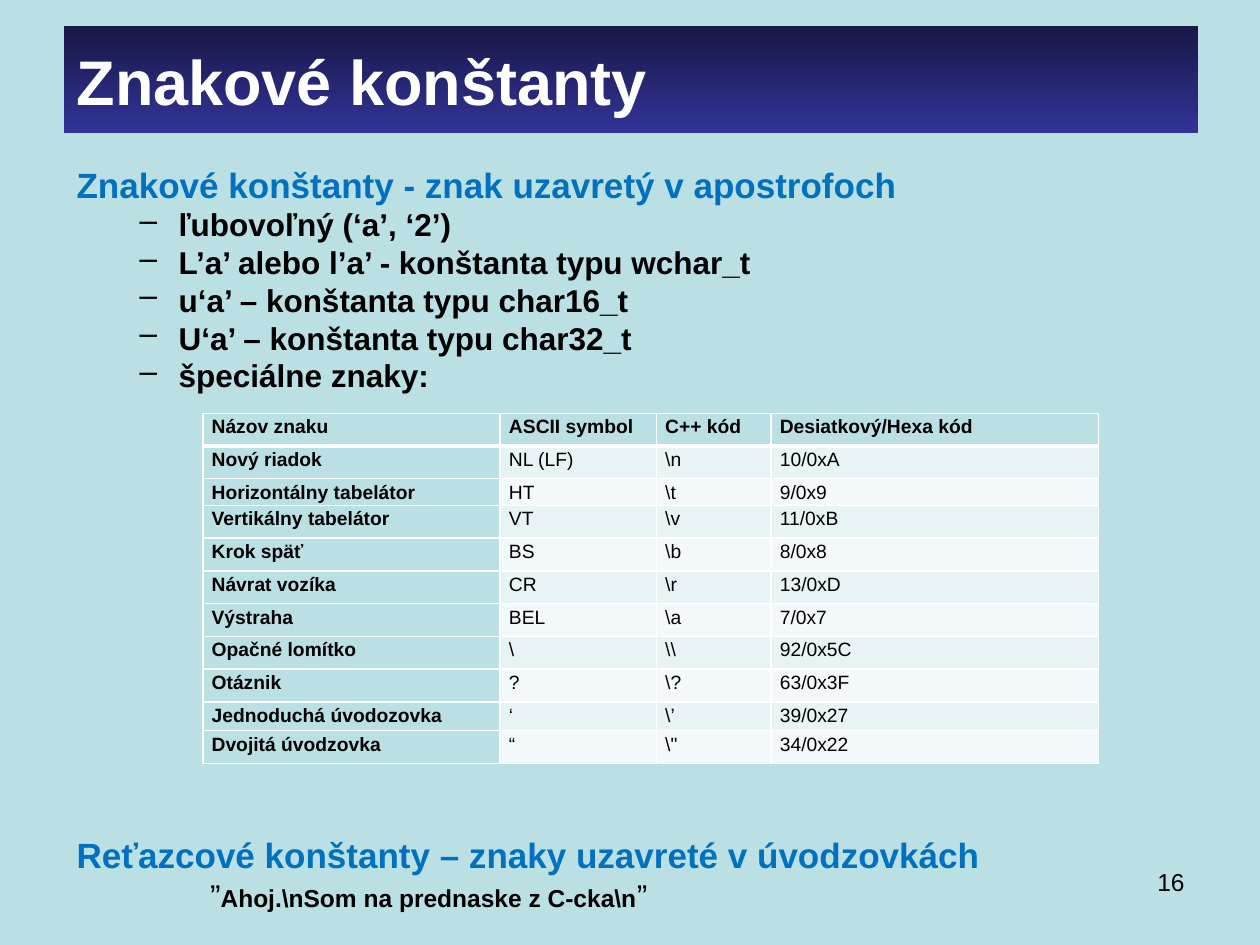
from lxml import etree
from pptx import Presentation
from pptx.dml.color import RGBColor
from pptx.enum.shapes import MSO_SHAPE
from pptx.enum.text import MSO_ANCHOR, PP_ALIGN
from pptx.oxml.ns import qn
from pptx.util import Inches, Pt

RECT = MSO_SHAPE.RECTANGLE
MIDDLE = MSO_ANCHOR.MIDDLE
LEFT, RIGHT, JUSTIFY = PP_ALIGN.LEFT, PP_ALIGN.RIGHT, PP_ALIGN.JUSTIFY

FONT = "Arial"
AQUA = RGBColor(0xBB, 0xE0, 0xE3)
NIGHT = RGBColor(0x18, 0x18, 0x47)
NAVY = RGBColor(0x33, 0x33, 0x99)
BLUE = RGBColor(0x00, 0x70, 0xC0)
BLACK = RGBColor(0x00, 0x00, 0x00)
WHITE = RGBColor(0xFF, 0xFF, 0xFF)
BANDS = [RGBColor(0xF3, 0xF9, 0xFA), RGBColor(0xE7, 0xF3, 0xF4)]


def style(para, size, color=BLACK, bold=True, align=LEFT):
    """Set the font and alignment of a paragraph."""
    para.alignment = align
    font = para.font
    font.name, font.size, font.bold = FONT, Pt(size), bold
    font.color.rgb = color


def border(cell, widths):
    """Draw white cell borders, widths in points by side."""
    props = cell._tc.get_or_add_tcPr()
    for i, (side, width) in enumerate(widths.items()):
        line = etree.Element(qn("a:ln" + side), w=str(Pt(width)))
        fill = etree.SubElement(line, qn("a:solidFill"))
        etree.SubElement(fill, qn("a:srgbClr"), val=str(WHITE))
        props.insert(i, line)


prs = Presentation()
prs.slide_width, prs.slide_height = Inches(10), Inches(7.5)
slide = prs.slides.add_slide(prs.slide_layouts[6])
slide.background.fill.solid()
slide.background.fill.fore_color.rgb = AQUA
shapes = slide.shapes

# Title bar
title = shapes.add_shape(RECT, Inches(0.51), Inches(0.21), Inches(9), Inches(0.85))
title.shadow.inherit = False
title.line.fill.background()
title.fill.gradient()
title.fill.gradient_angle = 270
for stop, color, place in zip(title.fill.gradient_stops, (NIGHT, NAVY), (0, 1)):
    stop.color.rgb = color
    stop.position = place
title.text_frame.vertical_anchor = MIDDLE
title.text_frame.text = "Znakové konštanty"
style(title.text_frame.paragraphs[0], 36, WHITE)

# Body: text, size, colour, space before, left indent, bullet
points = ["ľubovoľný (‘a’, ‘2’)", "L’a’ alebo l’a’ - konštanta typu wchar_t",
          "u‘a’ – konštanta typu char16_t", "U‘a’ – konštanta typu char32_t",
          "špeciálne znaky:"]
lines = [("Znakové konštanty - znak uzavretý v apostrofoch", 20, BLUE, 0, 0, False)]
lines += [(point, 18, BLACK, 4.3, 0.81, True) for point in points]
lines += [("Reťazcové konštanty – znaky uzavreté v úvodzovkách", 20, BLUE, 256, 0, False),
          ("", 14, BLACK, 4.3, 1.06, False)]

body = shapes.add_textbox(Inches(0.51), Inches(1.02), Inches(9), Inches(6.27)).text_frame
body.word_wrap = True
body.margin_top = Inches(0.34)
for i, (text, size, color, gap, indent, bullet) in enumerate(lines):
    para = body.add_paragraph() if i else body.paragraphs[0]
    para.text = text
    style(para, size, color)
    para.line_spacing = 0.8
    para.space_before = Pt(gap)
    props = para._p.get_or_add_pPr()
    props.set("marL", str(Inches(indent)))
    if bullet:
        props.set("indent", str(Inches(-0.31)))
        mark = etree.Element(qn("a:buChar"), char="–")
        props.find(qn("a:defRPr")).addprevious(mark)

for text, size, bold in [("”", 18, False), ("Ahoj.\\nSom na prednaske z C-cka\\n", 14, True),
                         ("”", 18, False)]:
    run = para.add_run()
    run.text = text
    run.font.size, run.font.bold = Pt(size), bold

# Slide number
number = shapes.add_textbox(Inches(7.17), Inches(6.83), Inches(2.33), Inches(0.52)).text_frame
number.word_wrap = True
number.text = "16"
style(number.paragraphs[0], 14, bold=False, align=RIGHT)

# Table of special characters
rows = [
    ("Názov znaku", "ASCII symbol", "C++ kód", "Desiatkový/Hexa kód"),
    ("Nový riadok", "NL (LF)", "\\n", "10/0xA"),
    ("Horizontálny tabelátor", "HT", "\\t", "9/0x9"),
    ("Vertikálny tabelátor", "VT", "\\v", "11/0xB"),
    ("Krok späť", "BS", "\\b", "8/0x8"),
    ("Návrat vozíka", "CR", "\\r", "13/0xD"),
    ("Výstraha", "BEL", "\\a", "7/0x7"),
    ("Opačné lomítko", "\\", "\\\\", "92/0x5C"),
    ("Otáznik", "?", "\\?", "63/0x3F"),
    ("Jednoduchá úvodozovka", "‘", "\\’", "39/0x27"),
    ("Dvojitá úvodzovka", "“", "\\\"", "34/0x22"),
]
widths = [2.36, 1.24, 0.91, 2.6]
low = {2: 0.17, 9: 0.23}
table = shapes.add_table(len(rows), len(widths), Inches(1.61), Inches(3.28),
                         Inches(7.11), Inches(2.78)).table
table.horz_banding = False
for col, width in zip(table.columns, widths):
    col.width = Inches(width)
for r, row in enumerate(rows):
    table.rows[r].height = Inches(low.get(r, 0.26))
    for c, text in enumerate(row):
        cell = table.cell(r, c)
        head = r == 0 or c == 0
        cell.margin_left = cell.margin_right = Inches(0.07)
        cell.margin_top = cell.margin_bottom = 0
        cell.fill.solid()
        cell.fill.fore_color.rgb = AQUA if head else BANDS[r % 2]
        border(cell, {"L": 1, "R": 1, "T": 3 if r == 1 else 1, "B": 3 if r == 0 else 1})
        cell.text = text
        para = cell.text_frame.paragraphs[0]
        style(para, 11, bold=head, align=JUSTIFY)
        para.line_spacing = 1.15

prs.save("out.pptx")
